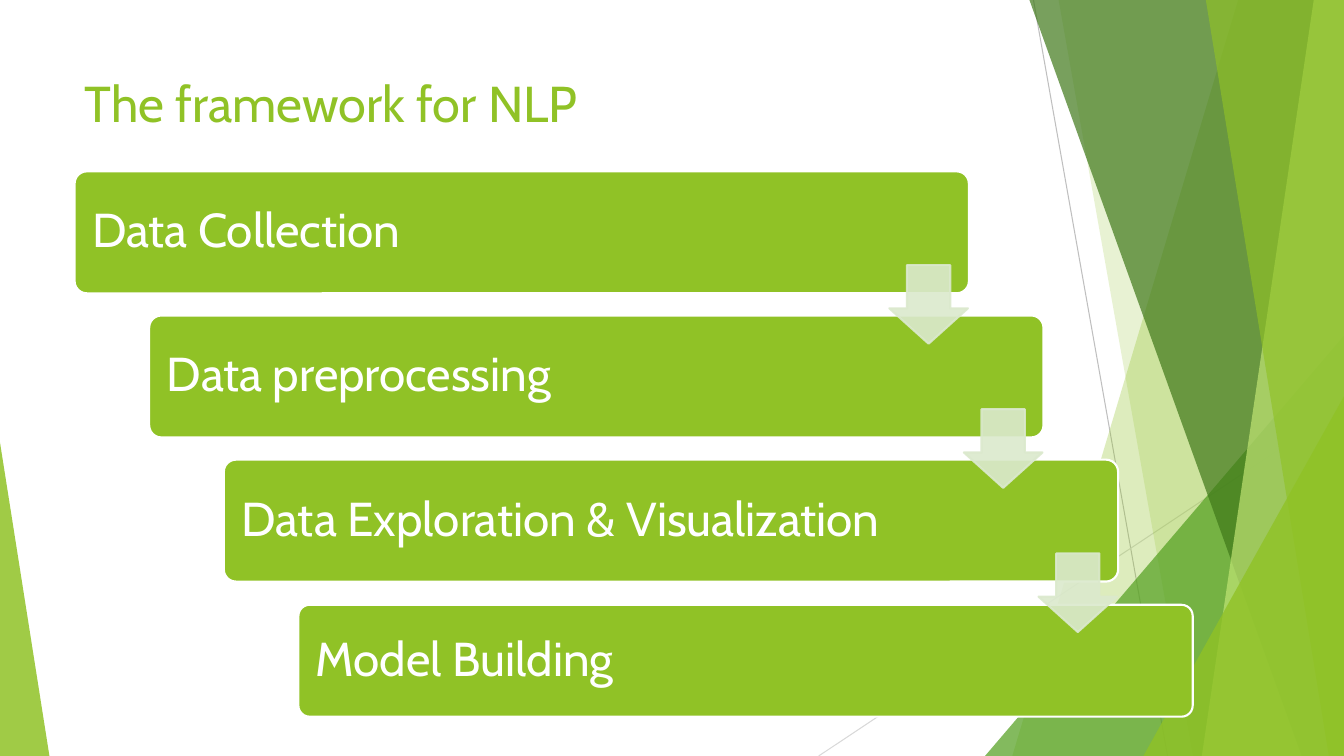
from lxml import etree
from pptx import Presentation, util as u
from pptx.dml.color import RGBColor
from pptx.enum import shapes, text
from pptx.oxml.ns import qn

PX = 9144  # 100 px to the inch
W, H = 1333, 750
FONT = "Cabin"
COLORS = {
    "lime": "90C226", "green": "54A021", "forest": "3F7819", "pale": "C0E474",
    "arrow": "DBE9CD", "white": "FFFFFF", "gray": "BFBFBF", "silver": "D9D9D9",
}
STEPS = ["Data Collection", "Data preprocessing",
         "Data Exploration & Visualization", "Model Building"]


def px(*lengths):
    return [u.Emu(n * PX) for n in lengths]


def rgb(name):
    return RGBColor.from_string(COLORS[name])


def paint(fill, color, alpha=100):
    fill.solid()
    fill.fore_color.rgb = rgb(color)
    if alpha < 100:
        clr = fill._xPr.find(qn("a:solidFill"))[0]
        etree.SubElement(clr, qn("a:alpha")).set("val", str(alpha * 1000))


def style(sp, color, alpha=100, line=None):
    sp.shadow.inherit = False
    paint(sp.fill, color, alpha)
    if line:
        paint(sp.line.fill, line, alpha)
        sp.line.width = u.Pt(1.5)
    else:
        sp.line.fill.background()


def add_preset(s, kind, box, adjustments):
    sp = s.shapes.add_shape(kind, *px(*box))
    for i, value in enumerate(adjustments):
        sp.adjustments[i] = value
    return sp


def add_run(p, words, size, color):
    r = p.add_run()
    r.text = words
    r.font.name = FONT
    r.font.size = u.Pt(size)
    r.font.color.rgb = rgb(color)


def add_hairline(s, ends, color):
    line = s.shapes.add_connector(shapes.MSO_CONNECTOR.STRAIGHT, *px(*ends))
    line.line.color.rgb = rgb(color)
    line.line.width = u.Pt(0.75)
    etree.SubElement(line._element.spPr, qn("a:effectLst"))


def add_band(s, box, top_left, bottom_left, color, alpha):
    """Fill from a slanted left edge to the right side of the box."""
    x, y, w, h = box
    outline = s.shapes.build_freeform(x + top_left, y, scale=PX)
    outline.add_line_segments(
        [(x + w, y), (x + w, y + h), (x + bottom_left, y + h)], close=True)
    style(outline.convert_to_shape(), color, alpha)


def add_wedge(s, box, apex, color, alpha):
    triangle = shapes.MSO_SHAPE.ISOSCELES_TRIANGLE
    style(add_preset(s, triangle, box, [apex]), color, alpha)


def add_facets(s, box):
    x, y, w, h = box
    right, bottom = x + w, y + h
    # Thin crossing lines
    add_hairline(s, (right - 308, y, right - 175, bottom), "gray")
    add_hairline(s, (right, y + 403, right - 521, bottom), "silver")
    # Translucent bands and wedges, back to front
    add_band(s, box, w - 105, w - 329, "lime", 30)
    add_band(s, box, w - 283, w - 150, "lime", 20)
    add_wedge(s, (right - 356, bottom - 417, 356, 417), 1, "green", 72)
    add_band(s, box, w - 312, w - 42, "forest", 70)
    add_band(s, box, w - 30, w - 141, "pale", 70)
    add_band(s, box, w - 137, w - 15, "lime", 65)
    add_wedge(s, (right - 199, bottom - 357, 199, 357), 1, "lime", 80)
    add_wedge(s, (x, bottom - 311, 49, 311), 0, "lime", 85)


def add_title(s, box):
    title = s.shapes.title
    title.left, title.top, title.width, title.height = px(*box)
    tf = title.text_frame
    tf.word_wrap = True
    tf.auto_size = text.MSO_AUTO_SIZE.NONE
    tf.vertical_anchor = text.MSO_ANCHOR.TOP
    p = tf.paragraphs[0]
    p.alignment = text.PP_ALIGN.LEFT
    add_run(p, "The framework for NLP", 36, "lime")


def add_step(s, box, words):
    sp = add_preset(s, shapes.MSO_SHAPE.ROUNDED_RECTANGLE, box, [0.1])
    style(sp, "lime", line="white")
    tf = sp.text_frame
    tf.word_wrap = True
    tf.vertical_anchor = text.MSO_ANCHOR.MIDDLE
    tf.margin_left = tf.margin_top = tf.margin_right = tf.margin_bottom = px(14)[0]
    p = tf.paragraphs[0]
    p.alignment = text.PP_ALIGN.LEFT
    p.line_spacing = 0.9
    add_run(p, words, 34, "white")


def add_staircase(s, box):
    x, y, w, h = box
    step_w, step_h, last_h, arrow = 887, 121, 111, 78
    gaps = len(STEPS) - 1
    corners = [(x + (w - step_w) * i // gaps, y + (h - last_h) * i // gaps)
               for i in range(len(STEPS))]
    # Steps
    for i, ((left, top), words) in enumerate(zip(corners, STEPS)):
        height = last_h if i == gaps else step_h
        add_step(s, (left, top, step_w, height), words)
    # Arrows from each step to the next
    for left, top in corners[:-1]:
        place = (left + step_w - arrow - 1, top + step_h - 28, arrow, arrow)
        sp = add_preset(s, shapes.MSO_SHAPE.DOWN_ARROW, place, [])
        sp.adjustments[0], sp.adjustments[1] = 0.55, 0.45
        style(sp, "arrow", 90, line="arrow")


def main():
    prs = Presentation()
    prs.slide_width, prs.slide_height = px(W, H)
    s = prs.slides.add_slide(prs.slide_layouts[5])
    add_facets(s, (0, 0, W, H))
    add_title(s, (74, 67, 940, 84))
    add_staircase(s, (74, 170, 1109, 541))
    prs.save("out.pptx")


if __name__ == "__main__":
    main()
